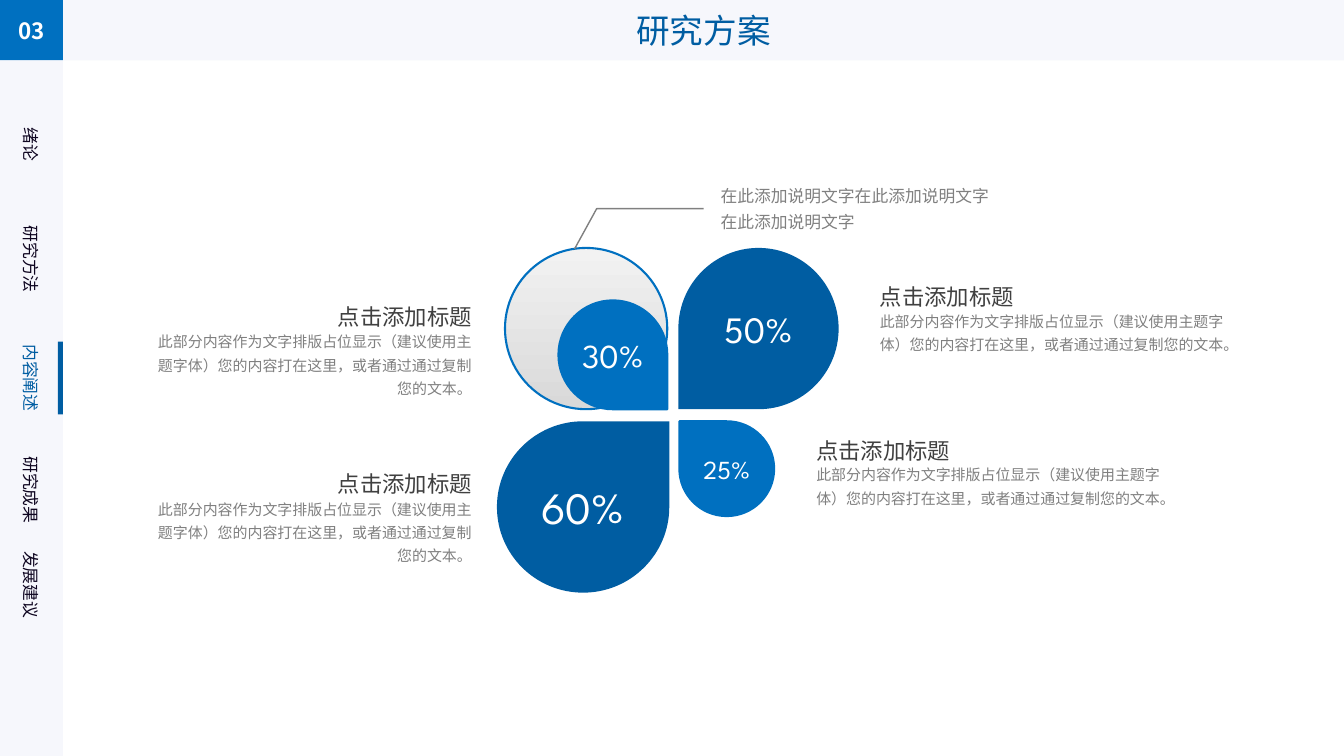
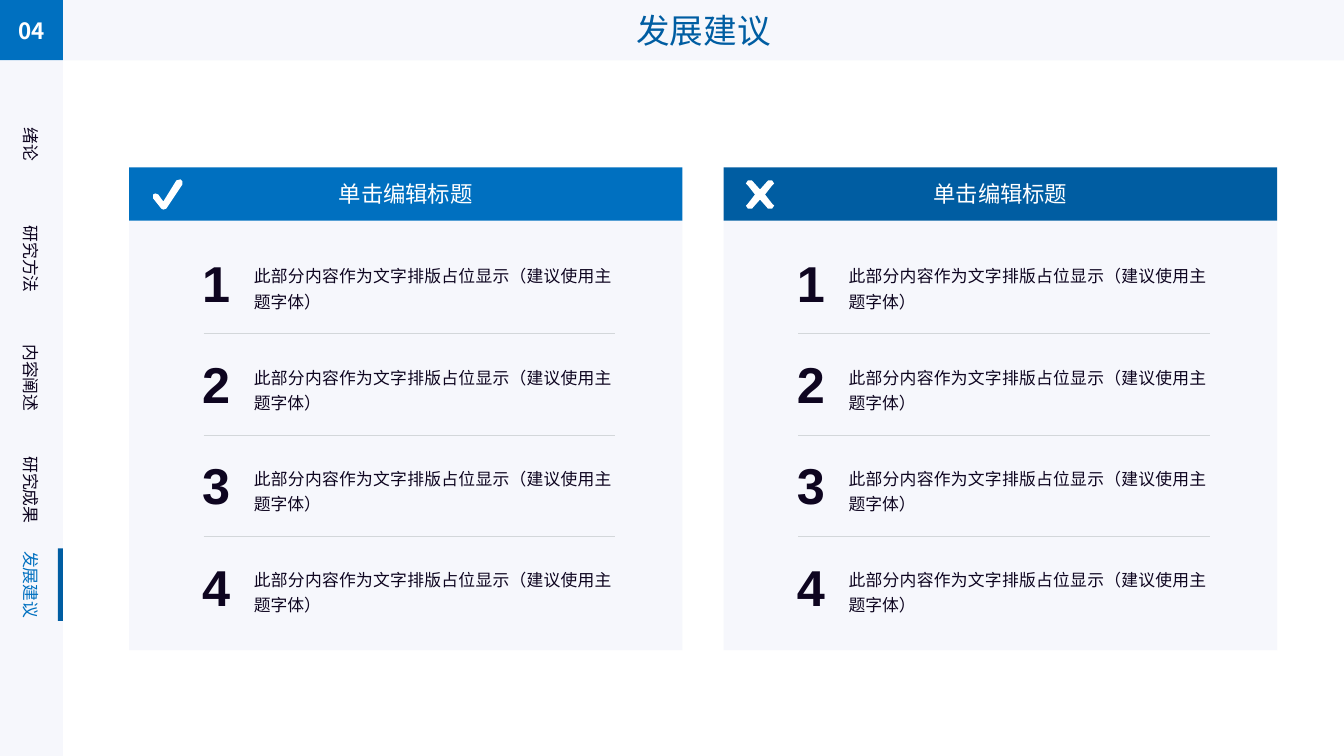
from math import atan2, cos, radians, sin, sqrt

from pptx import Presentation
from pptx.dml.color import RGBColor
from pptx.enum.shapes import MSO_CONNECTOR, MSO_SHAPE
from pptx.enum.text import MSO_ANCHOR as Anchor
from pptx.enum.text import MSO_AUTO_SIZE as AutoSize
from pptx.enum.text import PP_ALIGN as Align
from pptx.oxml.ns import qn
from pptx.util import Inches, Pt

NAVY, BLUE, PALE, WHITE = "005DA2", "0070C0", "F6F7FC", "FFFFFF"
INK, DARK, GRAY, RULE = "0E0520", "404040", "808080", "D3D7DA"
SANS, BADGE, ARIAL, SPARTAN = "Noto Sans CJK SC", "Noto Sans CJK JP", "Arial", "League Spartan"

WIDTH, HEIGHT = 40 / 3, 7.5
RAIL, BAND = 5 / 8, 0.6
SECTIONS = [("绪论", 1.43), ("研究方法", 2.57), ("内容阐述", 3.75), ("研究成果", 4.86), ("发展建议", 5.8)]

HEADING = "点击添加标题"
DETAIL = "此部分内容作为文字排版占位显示（建议使用主题字体）您的内容打在这里，或者通过通过复制您的文本。"
SUGGESTION = "此部分内容作为文字排版占位显示（建议使用主题字体）"
CALLOUT = "在此添加说明文字在此添加说明文字\n在此添加说明文字"

PETALS = [
    ("30%", (5.54, 2.98, 1.08, 1.08), (1, 1), BLUE, BLUE, 24),
    ("50%", (6.73, 2.46, 1.59, 1.6), (-1, 1), NAVY, None, 26.6),
    ("25%", (6.74, 4.18, 0.94, 0.94), (-1, -1), BLUE, BLUE, 18.6),
    ("60%", (4.93, 4.18, 1.71, 1.7), (1, -1), NAVY, None, 32),
]
LEFT_NOTES = [2.87, 4.53]
RIGHT_NOTES = [(8, 4.2), (8.63, 2.68)]

CHECK = [(0.34, 2.08), (0.32, 2.07), (0.24, 1.97), (0.24, 1.93), (0.26, 1.92), (0.29, 1.93),
         (0.34, 2), (0.47, 1.79), (0.51, 1.78), (0.53, 1.8), (0.53, 1.83), (0.37, 2.07)]
CROSS_QUARTER = [(0.05, 0), (0.12, 0.09), (0.14, 0.11), (0.12, 0.14), (0.08, 0.14), (0, 0.05)]


def rgb(value):
    """Turn a hex string into a colour."""
    return RGBColor.from_string(value)


def write(shape, text, size=12, color=INK, font=SANS, bold=False, align=Align.LEFT,
          spacing=None, anchor=Anchor.MIDDLE):
    """Fill a shape with formatted text, one paragraph per line."""
    frame = shape.text_frame
    frame.vertical_anchor = anchor
    for index, line in enumerate(text.split("\n")):
        paragraph = frame.paragraphs[0] if index == 0 else frame.add_paragraph()
        paragraph.alignment = align
        if spacing:
            paragraph.line_spacing = spacing
        run = paragraph.add_run()
        run.text = line
        run.font.name = font
        run.font.size = Pt(size)
        run.font.bold = bold
        run.font.color.rgb = rgb(color)
        properties = run.font._element
        east_asian = properties.makeelement(qn("a:ea"), {"typeface": SANS})
        properties.find(qn("a:latin")).addnext(east_asian)


def paint(shape, fill=None, line=None, width=1.5):
    """Set the fill and outline of a shape and remove its shadow."""
    shape.shadow.inherit = False
    if fill:
        shape.fill.solid()
        shape.fill.fore_color.rgb = rgb(fill)
    else:
        shape.fill.background()
    if line:
        shape.line.color.rgb = rgb(line)
        shape.line.width = Pt(width)
    else:
        shape.line.fill.background()
    return shape


def add_box(shapes, bounds, fill, kind=MSO_SHAPE.RECTANGLE):
    """Add a plain preset shape."""
    return paint(shapes.add_shape(kind, *map(Inches, bounds)), fill)


def add_text(shapes, bounds, text, wrap=True, inset=0.05, **style):
    """Add a text box that grows with its text."""
    box = shapes.add_textbox(*map(Inches, bounds))
    frame = box.text_frame
    frame.word_wrap = wrap
    frame.auto_size = AutoSize.SHAPE_TO_FIT_TEXT
    frame.margin_top = frame.margin_bottom = Inches(inset)
    write(box, text, anchor=Anchor.TOP, **style)
    return box


def add_outline(shapes, points, close=False):
    """Add a freeform through points given in inches."""
    start, *rest = [(Inches(x), Inches(y)) for x, y in points]
    builder = shapes.build_freeform(*start)
    builder.add_line_segments(rest, close=close)
    return builder.convert_to_shape()


def add_line(shapes, start, end, color, width):
    """Add a straight connector without shadow."""
    line = shapes.add_connector(MSO_CONNECTOR.STRAIGHT, *map(Inches, (*start, *end)))
    line.line.color.rgb = rgb(color)
    line.line.width = Pt(width)
    properties = line._element.spPr
    properties.append(properties.makeelement(qn("a:effectLst"), {}))


def bend(shape, curves):
    """Turn the first line segments, three at a time, into cubic curves."""
    segments = list(shape._element.iter(qn("a:lnTo")))
    for index in range(0, 3 * curves, 3):
        group = segments[index:index + 3]
        curve = group[0].makeelement(qn("a:cubicBezTo"), {})
        group[0].addprevious(curve)
        for segment in group:
            curve.append(segment[0])
            segment.getparent().remove(segment)


def add_petal(shapes, text, bounds, corner, color, line, size):
    """Add a teardrop whose point faces the given corner."""
    left, top, width, height = bounds
    facing = atan2(corner[1], corner[0])
    pull = 4 / 3 * (sqrt(2) - 1)
    units = []
    for quarter in range(3):
        angle = facing + radians(45 + 90 * quarter)
        x, y = cos(angle), sin(angle)
        units += [(x, y), (x - pull * y, y + pull * x), (pull * x - y, pull * y + x)]
    last = facing - radians(45)
    units += [(cos(last), sin(last)), corner]
    points = [(left + width * (1 + x) / 2, top + height * (1 + y) / 2) for x, y in units]
    petal = paint(add_outline(shapes, points, close=True), color, line)
    bend(petal, 3)
    write(petal, text, size=size, color=WHITE, font=SPARTAN, align=Align.CENTER)


def add_note(shapes, heading_bounds, detail_bounds, align):
    """Add a heading with its detail text."""
    add_text(shapes, heading_bounds, HEADING, inset=0, size=16, color=DARK, align=align, spacing=1.5)
    add_text(shapes, detail_bounds, DETAIL, size=10.7, color=GRAY, align=align, spacing=1.3)


def add_frame(presentation, number, title, active, active_color):
    """Add a slide with title band, number and section rail."""
    slide = presentation.slides.add_slide(presentation.slide_layouts[6])
    shapes = slide.shapes
    band = add_box(shapes, (RAIL, 0, WIDTH - RAIL, BAND), PALE)
    write(band, title, size=24, color=NAVY, align=Align.CENTER)
    badge = add_box(shapes, (0, 0, RAIL, BAND), BLUE)
    write(badge, number, size=16, color=WHITE, font=BADGE, bold=True, align=Align.CENTER)
    add_box(shapes, (0, BAND, RAIL, HEIGHT - BAND), PALE)
    for name, center in SECTIONS:
        width = 0.2 + 0.17 * len(name)
        color = active_color if name == active else INK
        label = add_text(shapes, (0.31 - width / 2, center - 0.15, width, 0.3), name,
                         wrap=False, color=color, align=Align.CENTER)
        label.rotation = 90
        if name == active:
            add_box(shapes, (RAIL - 0.05, center - 0.36, 0.05, 0.72), NAVY)
    return shapes


def build_plan(presentation):
    """Build the slide with four petals and their notes."""
    shapes = add_frame(presentation, "03", "研究方案", "内容阐述", NAVY)
    disc = add_box(shapes, (5.01, 2.46, 1.61, 1.6), WHITE, MSO_SHAPE.OVAL)
    paint(disc, WHITE, BLUE)
    disc.fill.gradient()
    disc.fill.gradient_angle = 90
    for stop, color in zip(disc.fill.gradient_stops, ("D9D9D9", "F2F2F2")):
        stop.color.rgb = rgb(color)
    for petal in PETALS:
        add_petal(shapes, *petal)
    for top in LEFT_NOTES:
        add_note(shapes, (1.54, top, 3.24, 0.36), (1.39, top + 0.33, 3.39, 0.78), Align.RIGHT)
    for left, top in RIGHT_NOTES:
        add_note(shapes, (left, top, 3.24, 0.36), (left, top + 0.32, 3.62, 0.54), Align.LEFT)
    leader = add_outline(shapes, [(5.7, 2.47), (5.92, 2.07), (6.98, 2.07)])
    paint(leader, line=GRAY, width=1)
    add_text(shapes, (7.05, 1.73, 2.93, 0.6), CALLOUT, color=GRAY, spacing=1.3)


def add_check(shapes, left):
    """Draw a check mark in a panel header."""
    points = [(left + x, y) for x, y in CHECK]
    paint(add_outline(shapes, points, close=True), WHITE)


def add_cross(shapes, left):
    """Draw a cross in a panel header by mirroring one quarter."""
    points = []
    for sign_x, sign_y in ((1, 1), (-1, 1), (-1, -1), (1, -1)):
        quarter = CROSS_QUARTER[::sign_x * sign_y][:-1]
        points += [(left + 0.36 + sign_x * x, 1.93 + sign_y * y) for x, y in quarter]
    paint(add_outline(shapes, points, close=True), WHITE)


def add_panel(slide_shapes, left, color, add_mark):
    """Add a grouped panel with header, mark and four numbered items."""
    shapes = slide_shapes.add_group_shape().shapes
    add_box(shapes, (left, 2.19, 5.49, 4.26), PALE)
    header = add_box(shapes, (left, 1.66, 5.49, 0.53), color)
    write(header, "单击编辑标题", size=16, color=WHITE, font=ARIAL, align=Align.CENTER)
    for index in range(4):
        top = 2.45 + 1.005 * index
        add_text(shapes, (left + 0.61, top, 0.51, 0.71), str(index + 1),
                 size=36, font=ARIAL, bold=True, align=Align.CENTER)
        add_text(shapes, (left + 1.14, top + 0.09, 3.75, 0.58), SUGGESTION,
                 align=Align.JUSTIFY, spacing=1.25)
        if index < 3:
            add_line(shapes, (left + 0.74, top + 0.86), (left + 4.82, top + 0.86), RULE, 0.5)
    add_mark(shapes, left)


def build_suggestions(presentation):
    """Build the slide with two panels of suggestions."""
    shapes = add_frame(presentation, "04", "发展建议", "发展建议", BLUE)
    add_panel(shapes, 1.28, BLUE, add_check)
    add_panel(shapes, 7.18, NAVY, add_cross)


def main():
    """Build and save the presentation."""
    presentation = Presentation()
    presentation.slide_width, presentation.slide_height = Inches(WIDTH), Inches(HEIGHT)
    build_plan(presentation)
    build_suggestions(presentation)
    presentation.save("out.pptx")


if __name__ == "__main__":
    main()
